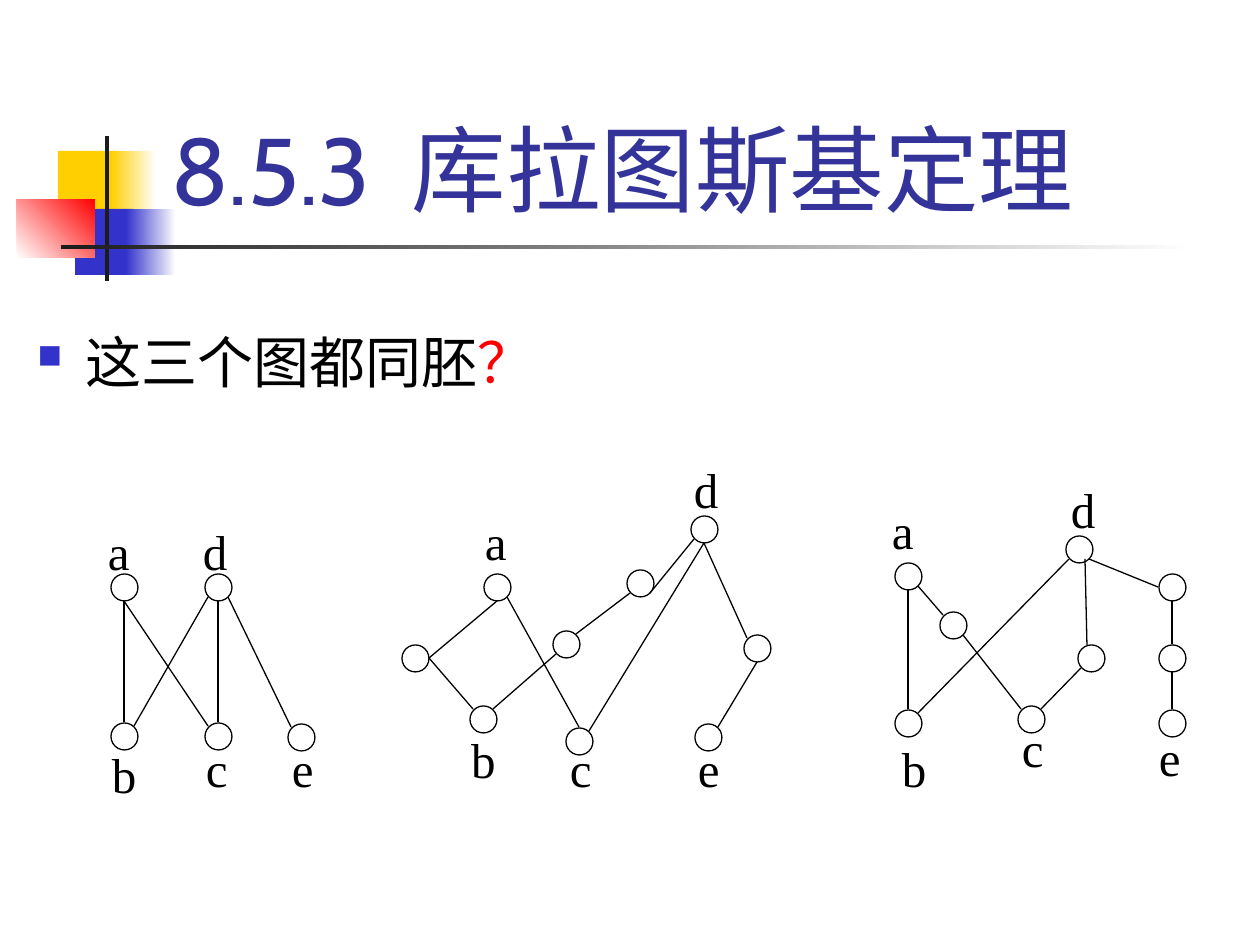
from dataclasses import dataclass

from lxml import etree
from pptx import Presentation
from pptx.dml.color import RGBColor
from pptx.enum.shapes import MSO_CONNECTOR, MSO_SHAPE
from pptx.enum.text import MSO_ANCHOR, PP_ALIGN
from pptx.oxml.ns import qn
from pptx.util import Emu, Pt

RECT, OVAL = MSO_SHAPE.RECTANGLE, MSO_SHAPE.OVAL
LINE = MSO_CONNECTOR.STRAIGHT
TOP, BOTTOM = MSO_ANCHOR.TOP, MSO_ANCHOR.BOTTOM
LEFT = PP_ALIGN.LEFT
SCALE = 914400 / 126


@dataclass(frozen=True)
class Theme:
    sans: str = "Cabin"
    serif: str = "Times New Roman"
    white: str = "FFFFFF"
    black: str = "000000"
    gold: str = "FFCF01"
    blue: str = "3333CC"
    red: str = "FF0000"
    dark: str = "1C1C1C"
    navy: str = "333399"
    title: int = 54
    body: int = 32
    label: int = 28
    gap: int = 1150  # extra width of the title's space, 1/100 pt
    thin: float = 0.75


T = Theme()
NODE = 27  # diameter of a vertex
TALL = 97  # height of a label box

# Where an edge meets a vertex, as an offset from its centre
SIDES = {
    "N": (0, -14), "S": (0, 14), "W": (-14, 0), "E": (14, 0),
    "NE": (10, -10), "NW": (-10, -10), "SE": (10, 10), "SW": (-10, 10),
    "SSE": (6, 10), "NNW": (-4, -13),
}

# Labels: left, top, width. Nodes: centre. Edges: node, side, node, side.
GRAPHS = [
    {
        "labels": {"b": (98, 737, 76), "c": (192, 731, 81), "e": (278, 731, 78),
                   "a": (94, 514, 98), "d": (189, 514, 78)},
        "nodes": {"a": (124, 587), "d": (218, 587), "b": (124, 736),
                  "c": (218, 736), "e": (301, 737)},
        "edges": ["a S b N", "d S c N", "d SW b NE", "a S c NW", "d SE e NW"],
    },
    {
        "labels": {"e": (684, 732, 74), "c": (556, 732, 94), "b": (457, 722, 83),
                   "d": (680, 452, 98), "a": (471, 504, 98)},
        "nodes": {"a": (497, 587), "b": (483, 719), "p": (415, 658),
                  "q": (566, 644), "r": (640, 583), "d": (704, 529),
                  "s": (757, 648), "e": (708, 737), "c": (579, 741)},
        "edges": ["a S p E", "p E b NW", "q SW b NE", "r SW q NE", "d SW r SE",
                  "a SE c N", "d S c NE", "d S s NW", "s S e NE"],
    },
    {
        "labels": {"e": (1145, 721, 98), "c": (1008, 711, 98),
                   "b": (888, 732, 98), "d": (1057, 472, 98),
                   "a": (878, 494, 98)},
        "nodes": {"c": (1031, 719), "p": (953, 625), "b": (908, 723),
                  "a": (908, 576), "q": (1091, 658), "d": (1079, 549),
                  "r": (1172, 587), "s": (1172, 658), "e": (1172, 723)},
        "edges": ["a S b N", "a SE p NW", "p SE c NW", "d SW b NE", "c NE q SW",
                  "d SSE q NNW", "d SE r W", "r S s N", "s S e N"],
    },
]


def px(n):
    return Emu(round(n * SCALE))


def rgb(code):
    return RGBColor.from_string(code)


def add_shape(slide, kind, box, fill, line=None):
    shape = slide.shapes.add_shape(kind, *map(px, box))
    shape.shadow.inherit = False
    shape.fill.solid()
    shape.fill.fore_color.rgb = rgb(fill)
    if line:
        shape.line.color.rgb = rgb(line)
        shape.line.width = Pt(T.thin)
    else:
        shape.line.fill.background()
    return shape


def add_fade(slide, box, start, end, angle=0):
    fill = add_shape(slide, RECT, box, start).fill
    fill.gradient()
    fill.gradient_angle = angle
    for stop, code, pos in zip(fill.gradient_stops, (start, end), (0, 1)):
        stop.color.rgb = rgb(code)
        stop.position = pos


def add_run(para, text, face, size, color):
    run = para.add_run()
    run.text = text
    run.font.name = face
    run.font.size = Pt(size)
    run.font.color.rgb = rgb(color)
    return run


def add_box(slide, box, anchor):
    frame = slide.shapes.add_textbox(*map(px, box)).text_frame
    frame.word_wrap = True
    frame.vertical_anchor = anchor
    return frame.paragraphs[0]


def add_bullet(para, char, color, size):
    props = para._p.get_or_add_pPr()
    props.set("marL", str(px(48)))
    props.set("indent", str(px(-48)))
    tint = etree.SubElement(props, qn("a:buClr"))
    etree.SubElement(tint, qn("a:srgbClr"), val=color)
    etree.SubElement(props, qn("a:buSzPct"), val=str(size * 1000))
    etree.SubElement(props, qn("a:buChar"), char=char)


def add_label(slide, text, left, top, width):
    shape = add_shape(slide, RECT, (left, top, width, TALL), T.white, T.white)
    frame = shape.text_frame
    frame.word_wrap = True
    frame.vertical_anchor = TOP
    frame.margin_left = frame.margin_right = px(14)
    frame.margin_top = frame.margin_bottom = px(7)
    para = frame.paragraphs[0]
    para.alignment = LEFT
    add_run(para, text, T.serif, T.label, T.black)


def add_edge(slide, nodes, edge):
    start, out, end, into = edge.split()
    ends = []
    for node, side in ((start, out), (end, into)):
        ends += [px(c + d) for c, d in zip(nodes[node], SIDES[side])]
    line = slide.shapes.add_connector(LINE, *ends)
    line.line.color.rgb = rgb(T.black)
    line.line.width = Pt(T.thin)
    etree.SubElement(line._element.spPr, qn("a:effectLst"))


def add_graph(slide, graph):
    for text, spot in graph["labels"].items():
        add_label(slide, text, *spot)
    for x, y in graph["nodes"].values():
        box = (x - NODE // 2, y - NODE // 2, NODE, NODE)
        add_shape(slide, OVAL, box, T.white, T.black)
    for edge in graph["edges"]:
        add_edge(slide, graph["nodes"], edge)


def add_decor(slide):
    add_shape(slide, RECT, (58, 151, 60, 66), T.gold)
    add_fade(slide, (111, 151, 45, 66), T.gold, T.white)
    add_shape(slide, RECT, (75, 209, 58, 66), T.blue)
    add_fade(slide, (126, 209, 50, 66), T.blue, T.white)
    add_fade(slide, (17, 199, 78, 59), T.white, T.red, 45)
    add_shape(slide, RECT, (105, 136, 4, 145), T.dark)
    add_fade(slide, (61, 245, 1134, 4), T.dark, T.white)


def main():
    deck = Presentation()
    deck.slide_width, deck.slide_height = px(1260), px(945)
    slide = deck.slides.add_slide(deck.slide_layouts[6])
    add_decor(slide)

    # Title, with a widened space after the number
    para = add_box(slide, (159, 29, 1074, 202), BOTTOM)
    for text in ("8.5.3", " ", "库拉图斯基定理"):
        run = add_run(para, text, T.sans, T.title, T.navy)
        if text == " ":
            run.font._element.set("spc", str(T.gap))

    # Question
    para = add_box(slide, (25, 254, 1235, 691), TOP)
    para.line_spacing = 2.0
    add_bullet(para, "■", T.blue, 60)
    add_run(para, "这三个图都同胚", T.sans, T.body, T.black)
    add_run(para, "？", T.sans, T.body, T.red)

    # Graphs
    for graph in GRAPHS:
        add_graph(slide, graph)
    deck.save("out.pptx")


if __name__ == "__main__":
    main()
